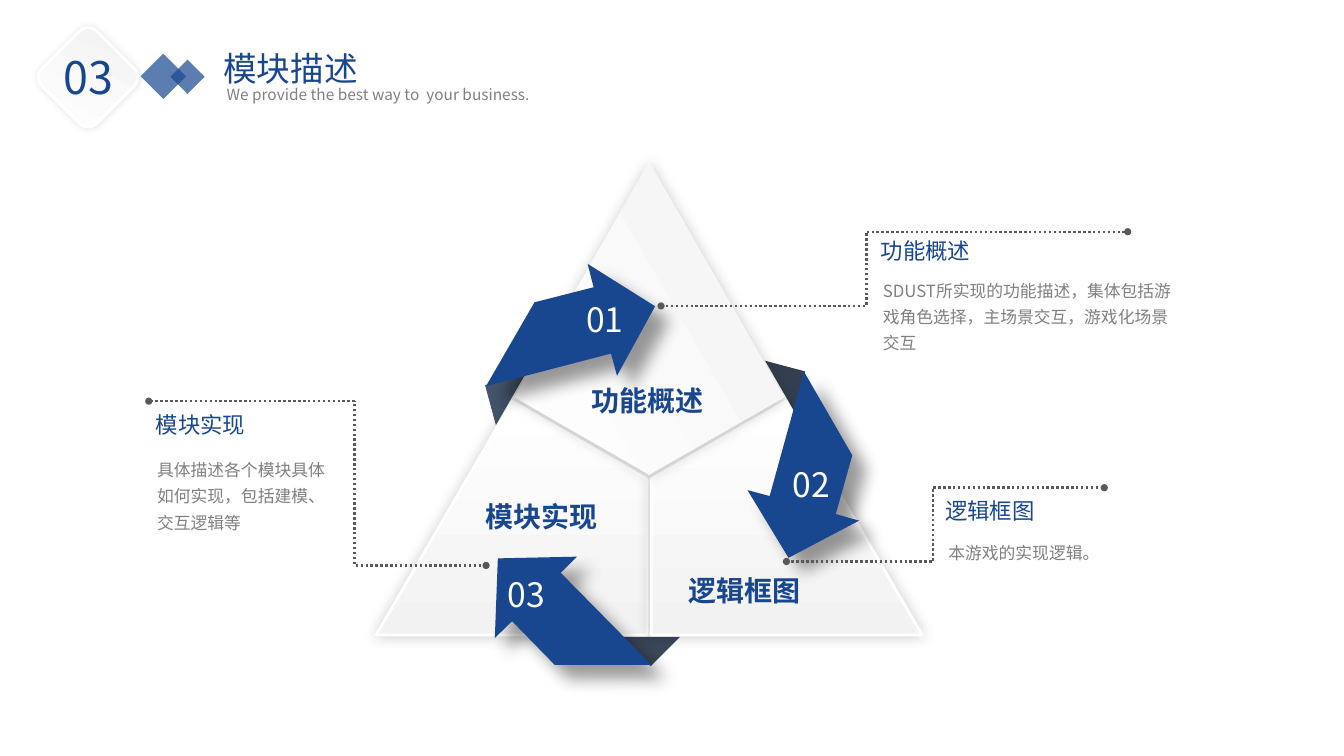
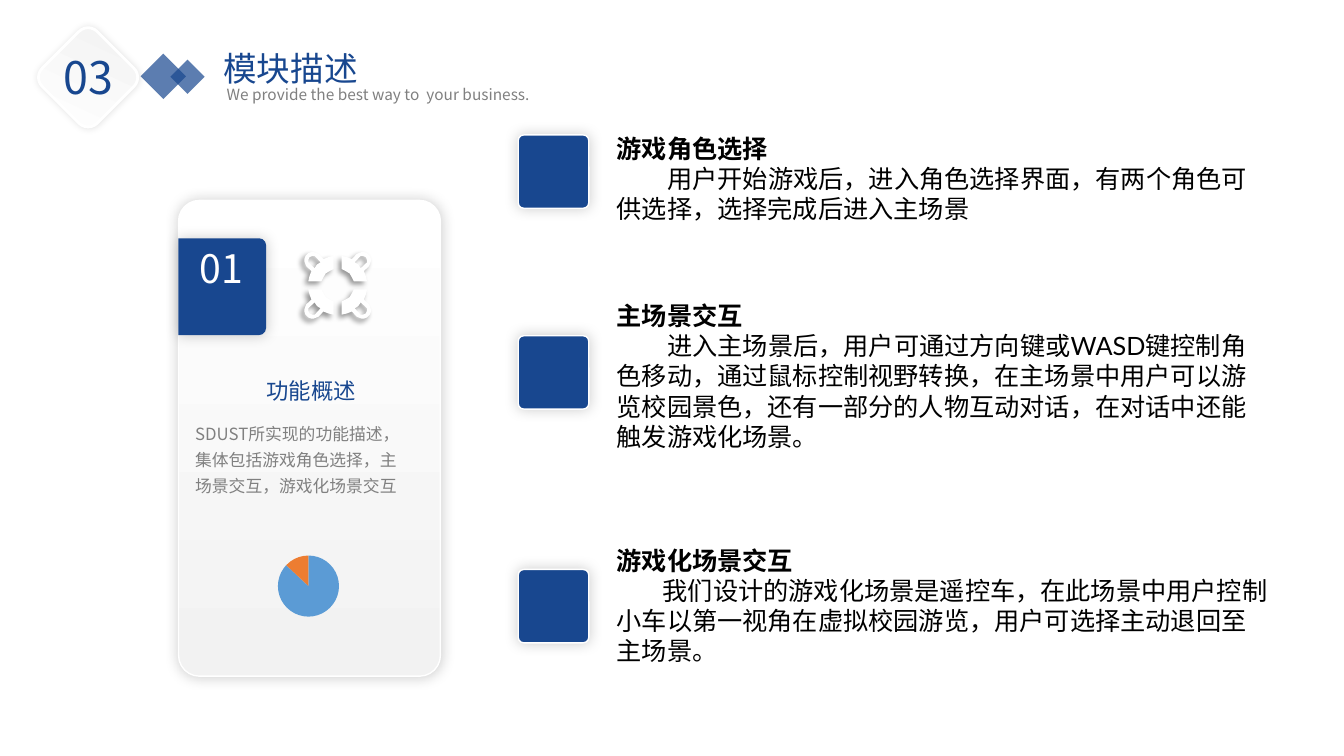
from dataclasses import dataclass
from math import cos, radians, sin

from lxml import etree
from pptx import Presentation
from pptx import util as u
from pptx.chart import data as cd
from pptx.dml.color import RGBColor
from pptx.enum import chart as ch, dml, shapes as sh, text as tx
from pptx.oxml import parse_xml
from pptx.oxml.ns import nsdecls, qn


@dataclass(frozen=True)
class Theme:
    # Colours
    blue: str = "18478F"
    white: str = "FFFFFF"
    pale: str = "F2F2F2"
    grey: str = "808080"
    dark: str = "595959"
    black: str = "000000"
    folds: tuple = ("44546A", "333F50", "3B485B")
    slices: tuple = ("5B9BD5", "ED7D31")
    # Fonts and type sizes
    face: str = "Noto Sans CJK SC"
    latin: str = "Lato"
    tiny: int = 11
    small: int = 12
    label: int = 16
    body: int = 18
    name: int = 20
    title: int = 24
    count: int = 28
    badge: int = 32
    # Shadows: opacity %, blur pt, distance pt, angle
    soft: tuple = (20, 10, 0, 0)
    drop: tuple = (40, 12, 14, 45)
    faint: tuple = (11, 5, 0, 0)
    icon: tuple = (40, 4, 3, 135)


T = Theme()
BOX = sh.MSO_SHAPE
DOWN = 270  # gradient running from top to bottom


def rgb(code):
    return RGBColor.from_string(code)


def spin(spot, deg, hub):
    """Turn a spot, given from the hub, clockwise and return its place."""
    (x, y), a = spot, radians(deg)
    return (hub[0] + x * cos(a) - y * sin(a),
            hub[1] + x * sin(a) + y * cos(a))


class Deck:
    def __init__(self):
        self.prs = Presentation()
        self.prs.slide_width = u.Cm(33.87)
        self.prs.slide_height = u.Cm(19.05)
        self.page = None

    def new(self, num, title, note):
        """Start a slide with the shared heading."""
        self.page = self.prs.slides.add_slide(
            self.prs.slide_layouts[6]).shapes
        for x, y, size in ((3.71, 1.52, 0.81), (4.42, 1.63, 0.61)):
            gem = self.shape(BOX.RECTANGLE, x, y, size, size, T.blue, turn=45)
            tint = gem._element.spPr.find(".//" + qn("a:srgbClr"))
            etree.SubElement(tint, qn("a:alpha"), val="70000")
        self.text(note, 5.46, 2.01, 10.21, 0.74, T.tiny, T.grey)
        self.text(title, 5.38, 1.09, 8.26, 1.27, T.title, T.blue)
        self.shape(BOX.ROUNDED_RECTANGLE, 1.24, 0.97, 1.96, 1.96, 110,
                   T.white, 2, T.faint, turn=45)
        self.text(num, 1.35, 1.12, 2.2, 1.63, T.badge, T.blue)

    def style(self, item, fill, line=None, width=1, shade=None):
        """A fill is a colour, a gradient angle or None."""
        if fill is None:
            item.fill.background()
        elif isinstance(fill, str):
            item.fill.solid()
            item.fill.fore_color.rgb = rgb(fill)
        else:
            item.fill.gradient()
            item.fill.gradient_angle = fill
            for stop, code in zip(item.fill.gradient_stops,
                                  (T.white, T.pale)):
                stop.color.rgb = rgb(code)
        if line:
            item.line.color.rgb = rgb(line)
            item.line.width = u.Pt(width)
        else:
            item.line.fill.background()
        item.shadow.inherit = False
        if shade:
            alpha, blur, dist, deg = shade
            list_ = item._element.spPr.find(qn("a:effectLst"))
            glow = etree.SubElement(
                list_, qn("a:outerShdw"), blurRad=str(u.Pt(blur)),
                dist=str(u.Pt(dist)), dir=str(deg * 60000),
                algn="ctr", rotWithShape="0")
            tint = etree.SubElement(glow, qn("a:srgbClr"), val=T.black)
            etree.SubElement(tint, qn("a:alpha"), val=str(alpha * 1000))
        return item

    def shape(self, kind, x, y, w, h, fill, line=None, width=1, shade=None,
              turn=0, curve=None):
        item = self.page.add_shape(kind, u.Cm(x), u.Cm(y), u.Cm(w), u.Cm(h))
        item.rotation = turn
        if curve is not None:
            item.adjustments[0] = curve
        return self.style(item, fill, line, width, shade)

    def free(self, rings, fill, line=None, width=1, shade=None, shut=True):
        pen = None
        for ring in rings:
            first, *rest = [(u.Cm(x), u.Cm(y)) for x, y in ring]
            if pen is None:
                pen = self.page.build_freeform(*first)
            else:
                pen.move_to(*first)
            pen.add_line_segments(rest, close=shut)
        return self.style(pen.convert_to_shape(), fill, line, width, shade)

    def text(self, words, x, y, w, h, size, color, bold=False, mid=False,
             face=T.face, gap=None, pad=None):
        box = self.page.add_textbox(u.Cm(x), u.Cm(y), u.Cm(w), u.Cm(h))
        frame = box.text_frame
        frame.word_wrap = True
        if pad:
            frame.margin_left = frame.margin_right = u.Cm(pad)
            frame.margin_top = frame.margin_bottom = u.Cm(pad / 2)
        frame.text = words
        for par in frame.paragraphs:
            if mid:
                par.alignment = tx.PP_ALIGN.CENTER
            if gap:
                par.line_spacing = gap
            for run in par.runs:
                font = run.font
                font.name, font.size, font.bold = face, u.Pt(size), bold
                font.color.rgb = rgb(color)
                etree.SubElement(run._r.get_or_add_rPr(), qn("a:ea"),
                                 typeface=T.face)
        return frame.paragraphs

    def rule(self, x1, y1, x2, y2):
        wire = self.page.add_connector(
            sh.MSO_CONNECTOR.STRAIGHT,
            u.Cm(x1), u.Cm(y1), u.Cm(x2), u.Cm(y2))
        etree.SubElement(wire._element.spPr, qn("a:effectLst"))
        wire.line.color.rgb = rgb(T.dark)
        wire.line.width = u.Pt(1.75)
        wire.line.dash_style = dml.MSO_LINE.ROUND_DOT

    def lead(self, x1, y1, bend, y2, x2):
        """Dotted leader with a bend and a dot at each end."""
        elbow = self.free([[(x1, y1), (bend, y1), (bend, y2)]], None,
                          T.dark, 1.75, shut=False)
        elbow.line.dash_style = dml.MSO_LINE.ROUND_DOT
        self.rule(bend, y2, x2, y2)
        for x, y in ((x1, y1), (x2, y2)):
            self.shape(BOX.OVAL, x - 0.09, y - 0.09, 0.18, 0.18, T.dark)

    def pie(self, vals, x, y, w, h):
        data = cd.CategoryChartData()
        data.categories = [str(i + 1) for i in range(len(vals))]
        data.add_series("Series 1", vals)
        chart = self.page.add_chart(ch.XL_CHART_TYPE.PIE, u.Cm(x), u.Cm(y),
                                    u.Cm(w), u.Cm(h), data).chart
        chart.has_title = chart.has_legend = False
        chart.font.name, chart.font.size = T.latin, u.Pt(T.body)
        chart.font.color.rgb = rgb(T.black)
        plot = chart.plots[0]
        plot.vary_by_categories = True
        for i, code in enumerate(T.slices):
            fill = plot.series[0].points[i].format.fill
            fill.solid()
            fill.fore_color.rgb = rgb(code)
        # Fixed plot size inside the frame
        area = chart._chartSpace.find(".//" + qn("c:plotArea"))
        for old in area.findall(qn("c:layout")):
            area.remove(old)
        spots = "".join(f'<c:{k} val="{v}"/>' for k, v in (
            ("layoutTarget", "inner"), ("xMode", "edge"), ("yMode", "edge"),
            ("x", 0.27), ("y", 0.16), ("w", 0.46), ("h", 0.69)))
        area.insert(0, parse_xml(
            f'<c:layout {nsdecls("c")}><c:manualLayout>{spots}'
            '</c:manualLayout></c:layout>'))


HEAD = ("03", "模块描述", "We provide the best way to  your business.")
ABOUT = "SDUST所实现的功能描述，集体包括游戏角色选择，主场景交互，游戏化场景交互"


def cycle(deck):
    deck.new(*HEAD)
    axis = 16.36
    hubs = [(16.31, y) for y in (11.95, 11.77, 12.13)]

    # Folded ends behind the panels
    for i, hub in enumerate(hubs):
        x, y = spin((-3.76, -2.06), 120 * i, hub)
        deck.shape(BOX.ISOSCELES_TRIANGLE, x - 0.74, y - 0.37, 1.47, 0.74,
                   T.folds[i], turn=(300 + 120 * i) % 360)

    # Three panels of the triangle
    side = [(3.45, 10.11), (0.05, 12.07), (0.05, 16), (6.88, 16)]
    for sign in (-1, 1):
        deck.free([[(axis + sign * x, y) for x, y in side]], DOWN,
                  T.white, 2, T.soft)
    deck.free([[(axis - 3.4, 10.01), (axis, 11.96), (axis + 3.4, 10.01),
                (axis, 4.09)]], 30, shade=T.soft)

    # Arrows: one outline turned in thirds
    arrow = [(-0.76, -2.48), (-0.91, -3.04), (-4.06, -2.22), (-2.84, -4.33),
             (-1.35, -4.71), (-1.5, -5.3), (0.2, -4.23)]
    marks = [(14.15, 7.42), (19.35, 11.56), (12.17, 14.33)]
    for i, (hub, (x, y)) in enumerate(zip(hubs, marks)):
        deck.free([[spin(p, 120 * i, hub) for p in arrow]], T.blue,
                  shade=T.drop)
        deck.text(f"0{i + 1}", x, y, 2.18, 1.27, T.title, T.white, mid=True)

    # Panel name, leader, then heading and body of each note
    notes = [
        ("功能概述", (14.66, 9.53), (16.66, 7.71, 21.84, 5.84, 28.42),
         (21.95, 5.84), (22.07, 6.83, 7.77), ABOUT),
        ("逻辑框图", (17.09, 14.33), (19.82, 14.15, 23.52, 12.29, 27.83),
         (23.57, 12.4), (23.72, 13.44, 6.4), "本游戏的实现逻辑。"),
        ("模块实现", (11.99, 12.47), (12.25, 14.25, 8.94, 10.11, 3.75),
         (3.68, 10.24), (3.78, 11.35, 4.95),
         "具体描述各个模块具体如何实现，包括建模、交互逻辑等"),
    ]
    for name, spot, path_, top, (x, y, w), body in notes:
        deck.text(name, *spot, 3.99, 1.12, T.name, T.blue, bold=True)
        deck.lead(*path_)
        deck.text(name, *top, 3.56, 0.94, T.label, T.blue)
        deck.text(body, x, y, w, 2.13, T.small, T.grey, gap=1.3, pad=0.18)


def detail(deck):
    deck.new(*HEAD)

    # Card with its number tab
    deck.shape(BOX.ROUNDED_RECTANGLE, 4.5, 5.05, 6.6, 11.99, DOWN,
               T.white, 1, T.soft, curve=0.08)
    deck.shape(BOX.ROUND_2_SAME_RECTANGLE, 4.38, 6.12, 2.44, 2.21, T.blue,
               shade=T.soft, turn=90, curve=0.08)
    deck.text("01", 4.75, 6.02, 1.65, 2.64, T.count, T.white, mid=True)
    deck.text("功能概述", 4.62, 9.37, 6.45, 0.94, T.label, T.blue, mid=True)
    deck.text(ABOUT, 4.67, 10.39, 5.82, 2.18, T.small, T.grey, gap=1.3)
    deck.pie((87, 13), 6.1, 13.64, 3.35, 2.24)

    # Lifebuoy: half of one quarter and of its hole, mirrored
    rim = [(0.74, 0.81), (0.66, 0.84), (0.61, 0.84), (0.53, 0.81),
           (0.48, 0.79), (0.36, 0.66), (0.23, 0.71), (0.1, 0.74),
           (0.1, 0.41), (0.2, 0.36), (0.3, 0.3)]
    hole = [(0.71, 0.71), (0.64, 0.74), (0.58, 0.74), (0.55, 0.71),
            (0.43, 0.58), (0.51, 0.53)]
    rings = [[(8.51 + a * x, 7.19 + b * y)
              for x, y in half + [(q, p) for p, q in reversed(half)]]
             for a in (-1, 1) for b in (-1, 1) for half in (rim, hole)]
    deck.free(rings, T.white, shade=T.icon)

    # Features: square, heading and indented body
    items = [
        (3.4, 3.23, 3.25, 1.28, "游戏角色选择",
         "用户开始游戏后，进入角色选择界面，有两个角色可供选择，选择完成后进入主场景"),
        (8.46, 7.44, 4.11, 1.28, "主场景交互",
         "进入主场景后，用户可通过方向键或WASD键控制角色移动，通过鼠标控制视野转换，"
         "在主场景中用户可以游览校园景色，还有一部分的人物互动对话，"
         "在对话中还能触发游戏化场景。"),
        (14.35, 13.61, 3.33, 1.16, "游戏化场景交互",
         "我们设计的游戏化场景是遥控车，在此场景中用户控制小车以第一视角在虚拟校园游览，"
         "用户可选择主动退回至主场景。"),
    ]
    for top, y, h, dent, name, body in items:
        deck.shape(BOX.ROUNDED_RECTANGLE, 13.06, top, 1.78, 1.85, T.blue,
                   T.white, 1, T.soft, curve=0.08)
        head, para = deck.text(name + "\n" + body, 15.29, y, 16.92, h,
                               T.body, T.black, face=T.latin)
        head.runs[0].font.bold = True
        para._p.get_or_add_pPr().set("indent", str(u.Cm(dent)))


def main():
    deck = Deck()
    cycle(deck)
    detail(deck)
    deck.prs.save("out.pptx")


if __name__ == "__main__":
    main()
